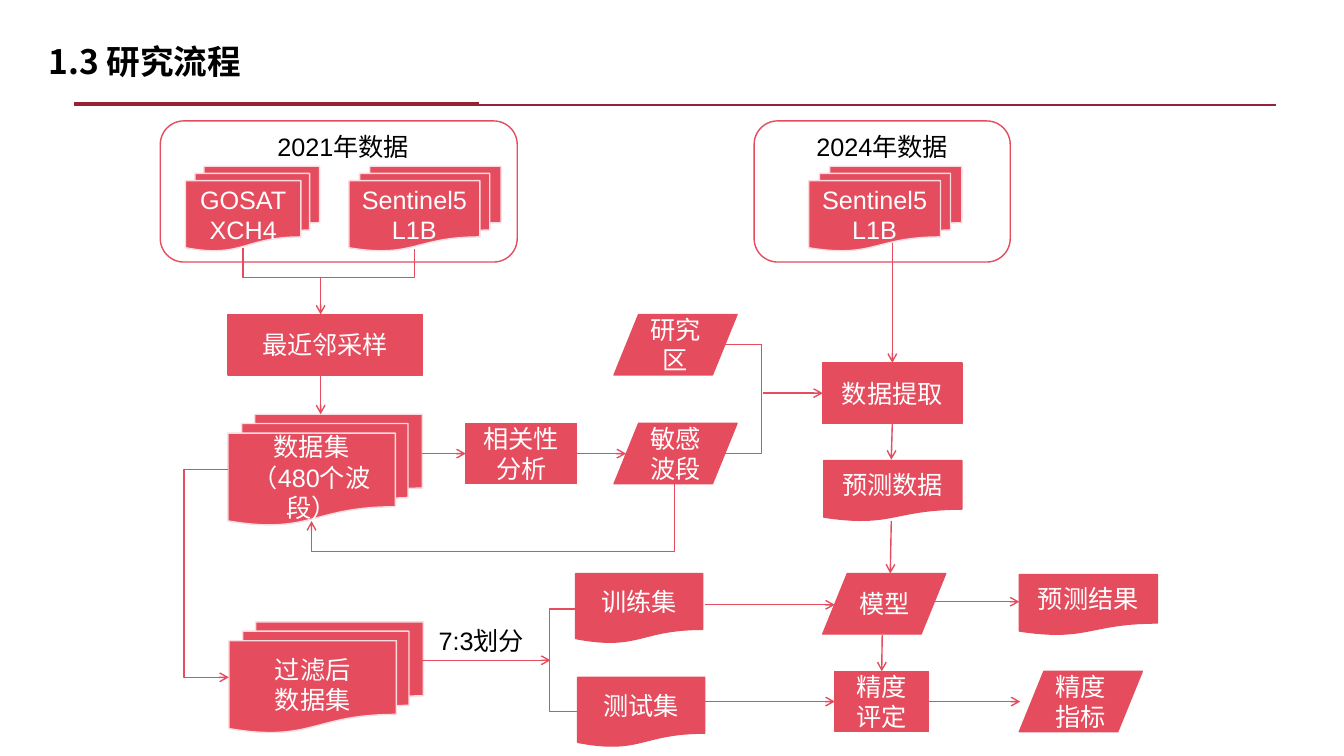
"""Build the research workflow slide."""
import dataclasses
import typing

import lxml.etree
import pptx
import pptx.dml.color
import pptx.enum.shapes
import pptx.enum.text
import pptx.oxml.ns
import pptx.util

Inches = pptx.util.Inches
Kind = pptx.enum.shapes.MSO_SHAPE
Link = pptx.enum.shapes.MSO_CONNECTOR
Align = pptx.enum.text.PP_ALIGN
Anchor = pptx.enum.text.MSO_ANCHOR
Fit = pptx.enum.text.MSO_AUTO_SIZE
qn = pptx.oxml.ns.qn
Point = tuple[float, float]
STACK, PAGE = Kind.FLOWCHART_MULTIDOCUMENT, Kind.FLOWCHART_DOCUMENT
STEP, DATA, GROUP = Kind.RECTANGLE, Kind.FLOWCHART_DATA, Kind.ROUNDED_RECTANGLE
TOP, LEFT, BOTTOM, RIGHT = range(4)


@dataclasses.dataclass(frozen=True)
class Theme:
    """Colours, fonts and type sizes of the slide."""
    fill: str = "E54C5E"
    edge: str = "FADBDF"
    rule: str = "972235"
    dark: str = "000000"
    light: str = "FFFFFF"
    latin: str = "Arial"
    asian: str = "Noto Sans CJK SC"
    head: int = 24
    body: int = 18


@dataclasses.dataclass(frozen=True)
class Node:
    """A flowchart shape with its label."""
    name: str
    kind: typing.Any
    left: float
    top: float
    width: float
    height: float
    text: str = ""


@dataclasses.dataclass(frozen=True)
class Label:
    """A caption without a frame."""
    text: str
    left: float
    top: float
    width: float


@dataclasses.dataclass(frozen=True)
class Arrow:
    """A straight arrow, joined to step boxes by name and side."""
    start: Point
    end: Point
    source: tuple[str, int] | None = None
    target: tuple[str, int] | None = None


@dataclasses.dataclass(frozen=True)
class Bend:
    """An elbow line whose middle leg lies at a given place."""
    start: Point
    end: Point
    mid: float
    upright: bool = False
    arrow: bool = False


THEME = Theme()
NODES = [
    Node("gosat", STACK, 1.84, 1.65, 1.33, 0.84, "GOSAT\nXCH4"),
    Node("past", STACK, 3.46, 1.65, 1.51, 0.84, "Sentinel5\nL1B"),
    Node("sample", STEP, 2.26, 3.12, 1.93, 0.6, "最近邻采样"),
    Node("bands", STACK, 2.26, 4.11, 1.93, 1.1, "数据集\n（480个波段）"),
    Node("relate", STEP, 4.62, 4.2, 1.1, 0.6, "相关性分析"),
    Node("keen", DATA, 6.09, 4.2, 1.22, 0.6, "敏感波段"),
    Node("clean", STACK, 2.27, 6.17, 1.93, 1.1, "过滤后\n数据集"),
    Node("train", PAGE, 5.71, 5.69, 1.26, 0.69, "训练集"),
    Node("test", PAGE, 5.73, 6.72, 1.26, 0.69, "测试集"),
    Node("recent", STACK, 8.02, 1.65, 1.52, 0.84, "Sentinel5\nL1B"),
    Node("region", DATA, 6.09, 3.12, 1.22, 0.6, "研究区"),
    Node("extract", STEP, 8.16, 3.6, 1.38, 0.6, "数据提取"),
    Node("model", DATA, 8.16, 5.69, 1.22, 0.6, "模型"),
    Node("input", PAGE, 8.17, 4.57, 1.37, 0.6, "预测数据"),
    Node("result", PAGE, 10.11, 5.7, 1.37, 0.6, "预测结果"),
    Node("score", STEP, 8.28, 6.66, 0.93, 0.6, "精度评定"),
    Node("index", DATA, 10.11, 6.66, 1.22, 0.6, "精度指标"),
    Node("old", GROUP, 1.59, 1.2, 3.54, 1.4),
    Node("new", GROUP, 7.48, 1.2, 2.54, 1.4),
]
LABELS = [
    Label("7:3划分", 4.19, 6.15, 1.17),
    Label("2021年数据", 1.84, 1.25, 3.13),
    Label("2024年数据", 7.48, 1.25, 2.54),
]
ARROWS = [
    Arrow((3.18, 2.76), (3.18, 3.12)),
    Arrow((3.18, 3.72), (3.18, 4.11)),
    Arrow((4.19, 4.5), (4.62, 4.5), target=("relate", LEFT)),
    Arrow((5.72, 4.5), (6.21, 4.5), source=("relate", RIGHT)),
    Arrow((4.19, 6.55), (5.46, 6.55)),
    Arrow((8.85, 2.41), (8.85, 3.6), target=("extract", TOP)),
    Arrow((7.57, 3.9), (8.16, 3.9), target=("extract", LEFT)),
    Arrow((8.85, 4.2), (8.84, 4.56), source=("extract", BOTTOM)),
    Arrow((8.84, 5.17), (8.83, 5.69)),
    Arrow((6.99, 6), (8.28, 6)),
    Arrow((9.2, 5.97), (10.11, 5.97)),
    Arrow((8.75, 6.3), (8.74, 6.66), target=("score", TOP)),
    Arrow((6.99, 6.96), (8.28, 6.96), target=("score", LEFT)),
    Arrow((9.21, 6.96), (10.12, 6.96), source=("score", RIGHT)),
]
BENDS = [
    Bend((2.41, 2.46), (4.11, 2.47), 2.76, upright=True),
    Bend((6.69, 4.8), (3.09, 5.17), 5.47, upright=True, arrow=True),
    Bend((2.26, 4.66), (2.27, 6.72), 1.82, arrow=True),
    Bend((5.71, 6.04), (5.73, 7.06), 5.45),
    Bend((7.18, 3.42), (7.19, 4.5), 7.56),
]


def tint(code: str) -> pptx.dml.color.RGBColor:
    """Turn a hex code into a colour."""
    return pptx.dml.color.RGBColor.from_string(code)


def write(frame: typing.Any, text: str, size: int, color: str, latin: str,
          bold: bool = False, align: typing.Any = Align.CENTER) -> None:
    """Set the text of a frame and format its runs."""
    frame.text = text
    frame.word_wrap = True
    for para in frame.paragraphs:
        para.alignment = align
        for run in para.runs:
            run.font.size = pptx.util.Pt(size)
            run.font.bold = bold
            run.font.name = latin
            run.font.color.rgb = tint(color)
            asian = lxml.etree.SubElement(run.font._element, qn("a:ea"))
            asian.set("typeface", THEME.asian)


def draw_node(slide: typing.Any, node: Node) -> typing.Any:
    """Draw one flowchart shape."""
    shape = slide.shapes.add_shape(node.kind, *map(
        Inches, (node.left, node.top, node.width, node.height)))
    shape.shadow.inherit = False
    shape.line.color.rgb = tint(THEME.edge if node.kind == STACK else THEME.fill)
    shape.line.width = pptx.util.Pt(1)
    if node.kind == GROUP:
        shape.fill.background()
    else:
        shape.fill.solid()
        shape.fill.fore_color.rgb = tint(THEME.fill)
        shape.text_frame.vertical_anchor = Anchor.MIDDLE
        write(shape.text_frame, node.text, THEME.body, THEME.light, THEME.latin)
    return shape


def draw_label(slide: typing.Any, label: Label) -> None:
    """Draw one caption."""
    box = slide.shapes.add_textbox(*map(
        Inches, (label.left, label.top, label.width, 0.4)))
    write(box.text_frame, label.text, THEME.body, THEME.dark, THEME.latin)
    box.text_frame.auto_size = Fit.SHAPE_TO_FIT_TEXT


def draw_line(slide: typing.Any, start: Point, end: Point, color: str = THEME.fill,
              width: float = 1, arrow: bool = False,
              kind: typing.Any = Link.STRAIGHT) -> typing.Any:
    """Draw a connector with an optional arrowhead."""
    line = slide.shapes.add_connector(kind, *map(Inches, (*start, *end)))
    line.line.color.rgb = tint(color)
    line.line.width = pptx.util.Pt(width)
    props = line._element.spPr
    if arrow:
        lxml.etree.SubElement(props.find(qn("a:ln")), qn("a:tailEnd")).set("type", "arrow")
    lxml.etree.SubElement(props, qn("a:effectLst"))
    return line


def draw_bend(slide: typing.Any, bend: Bend) -> None:
    """Draw an elbow, turned a quarter when it leaves upright."""
    (x0, y0), (x1, y1) = start, end = bend.start, bend.end
    share = (bend.mid - x0) / (x1 - x0)
    if bend.upright:
        share = (bend.mid - y0) / (y1 - y0)
        mid_x, mid_y = (x0 + x1) / 2, (y0 + y1) / 2
        half_w, half_h = (y1 - y0) / 2, (x1 - x0) / 2
        start = mid_x - half_w, mid_y + half_h
        end = mid_x + half_w, mid_y - half_h
    line = draw_line(slide, start, end, arrow=bend.arrow, kind=Link.ELBOW)
    props = line._element.spPr
    if bend.upright:
        props.find(qn("a:xfrm")).set("rot", str(90 * 60000))
    guide = lxml.etree.SubElement(props.find(qn("a:prstGeom")).find(qn("a:avLst")), qn("a:gd"))
    guide.set("name", "adj1")
    guide.set("fmla", f"val {round(share * 100000)}")


def main() -> None:
    """Build and save the slide."""
    deck = pptx.Presentation()
    deck.slide_width, deck.slide_height = Inches(13.33), Inches(7.5)
    slide = deck.slides.add_slide(deck.slide_layouts[5])
    title = slide.shapes.title
    title.left, title.top, title.width, title.height = map(Inches, (0.38, 0.36, 4.85, 0.5))
    write(title.text_frame, "1.3 研究流程", THEME.head, THEME.dark, THEME.asian, True, Align.LEFT)
    title.text_frame.vertical_anchor = Anchor.MIDDLE
    title.text_frame.auto_size = Fit.NONE
    draw_line(slide, (4.75, 1.03), (0.73, 1.03), THEME.rule, 3)
    draw_line(slide, (2.64, 1.04), (12.66, 1.04), THEME.rule)
    shapes = {node.name: draw_node(slide, node) for node in NODES}
    for label in LABELS:
        draw_label(slide, label)
    for bend in BENDS:
        draw_bend(slide, bend)
    for arrow in ARROWS:
        line = draw_line(slide, arrow.start, arrow.end, arrow=True)
        if arrow.source:
            line.begin_connect(shapes[arrow.source[0]], arrow.source[1])
        if arrow.target:
            line.end_connect(shapes[arrow.target[0]], arrow.target[1])
    deck.save("out.pptx")


if __name__ == "__main__":
    main()
